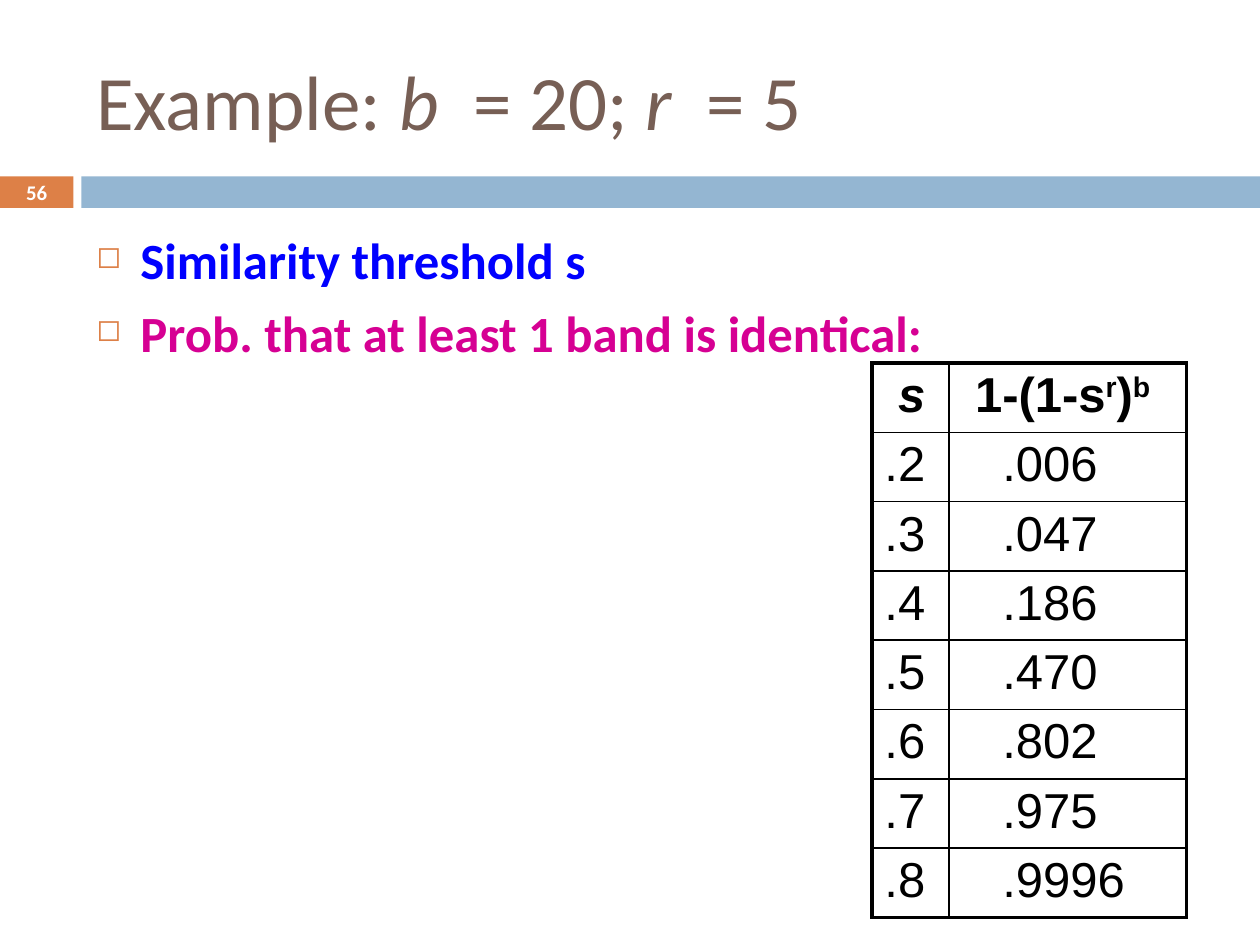
"""Build the banding example slide with its probability table."""
from lxml.etree import SubElement
from pptx import Presentation
from pptx.dml.color import RGBColor
from pptx.enum.shapes import MSO_SHAPE
from pptx.enum.text import MSO_ANCHOR, PP_ALIGN
from pptx.oxml.ns import qn
from pptx.util import Pt

PROBABILITIES = [
    (".2", ".006"), (".3", ".047"), (".4", ".186"), (".5", ".470"),
    (".6", ".802"), (".7", ".975"), (".8", ".9996"),
]


def color(value):
    return RGBColor.from_string(value)


def style(font, face, size, fill, bold=False):
    font.name, font.size, font.bold = face, Pt(size), bold
    font.color.rgb = color(fill)


def add_bar(slide, left, width, fill):
    bar = slide.shapes.add_shape(
        MSO_SHAPE.RECTANGLE, Pt(left), Pt(100.8), Pt(width), Pt(18))
    bar.shadow.inherit = False
    bar.fill.solid()
    bar.fill.fore_color.rgb = color(fill)
    bar.line.fill.background()
    return bar


def add_text_frame(slide, left, top, width, height, anchor):
    box = slide.shapes.add_textbox(Pt(left), Pt(top), Pt(width), Pt(height))
    frame = box.text_frame
    frame.word_wrap = True
    frame.vertical_anchor = anchor
    return frame


def add_title(slide):
    frame = add_text_frame(slide, 48, 18, 642, 78, MSO_ANCHOR.MIDDLE)
    for part in ("Example: ", "b", " = 20; ", "r", " = 5"):
        run = frame.paragraphs[0].add_run()
        run.text = part
        style(run.font, "Calibri", 44, "775F55")
        if part in ("b", "r"):
            run.font.italic = True
            run.font._element.set("spc", "1000")


def add_page_number(bar):
    frame = bar.text_frame
    frame.text = "56"
    frame.vertical_anchor = MSO_ANCHOR.MIDDLE
    frame.paragraphs[0].alignment = PP_ALIGN.CENTER
    style(frame.paragraphs[0].runs[0].font, "Calibri", 11.9, "FFFFFF", True)


def add_bullet(paragraph):
    properties = paragraph._p.get_or_add_pPr()
    properties.set("marL", str(Pt(25.2)))
    properties.set("indent", str(Pt(-25.2)))
    bullet_color = SubElement(properties, qn("a:buClr"))
    SubElement(bullet_color, qn("a:srgbClr"), val="DD8047")
    SubElement(properties, qn("a:buSzPct"), val="60000")
    SubElement(properties, qn("a:buChar"), char="◻")


def add_points(slide, points):
    frame = add_text_frame(slide, 48, 127, 642, 354, MSO_ANCHOR.TOP)
    frame.text = "\n".join(text for text, _ in points)
    for paragraph, (_, fill) in zip(frame.paragraphs, points):
        add_bullet(paragraph)
        style(paragraph.runs[0].font, "Calibri", 29, fill, True)
    for paragraph in frame.paragraphs[1:]:
        paragraph.space_before = Pt(7)


def set_borders(cell, widths):
    properties = cell._tc.get_or_add_tcPr()
    for position, (side, width) in enumerate(widths.items()):
        line = SubElement(properties, qn(f"a:ln{side}"), w=str(Pt(width)))
        fill = SubElement(line, qn("a:solidFill"))
        SubElement(fill, qn("a:srgbClr"), val="000000")
        properties.insert(position, line)


def fill_cell(cell, parts, indent, header):
    cell.fill.background()
    cell.margin_left = Pt(indent)
    cell.margin_top = cell.margin_bottom = Pt(3)
    for text, raised in parts:
        run = cell.text_frame.paragraphs[0].add_run()
        run.text = text
        style(run.font, "Arial", 28, "000000", header)
        run.font.italic = text == "s"
        if raised:
            run.font._element.set("baseline", "30000")


def add_probability_table(slide):
    formula = [("1-(1-s", False), ("r", True), (")", False), ("b", True)]
    rows = [([("s", False)], formula)]
    rows += [([(s, False)], [(chance, False)]) for s, chance in PROBABILITIES]
    table = slide.shapes.add_table(
        len(rows), 2, Pt(498.2), Pt(207.4), Pt(180), Pt(38.45 * len(rows))).table
    table.first_row = table.horz_banding = False
    for column, width in zip(table.columns, (44, 136)):
        column.width = Pt(width)
    last = len(rows) - 1
    for r, row in enumerate(rows):
        table.rows[r].height = Pt(38.45)
        indents = (15, 15) if r == 0 else (7.2, 30.6)
        for c, (parts, indent) in enumerate(zip(row, indents)):
            cell = table.cell(r, c)
            fill_cell(cell, parts, indent, r == 0)
            outer = {"L": c == 0, "R": c == 1, "T": r == 0, "B": r == last}
            set_borders(cell, {side: 2.25 if edge else 1
                               for side, edge in outer.items()})


def main():
    presentation = Presentation()
    presentation.slide_width, presentation.slide_height = Pt(720), Pt(540)
    slide = presentation.slides.add_slide(presentation.slide_layouts[6])
    number_bar = add_bar(slide, 0, 42, "DD8047")
    add_bar(slide, 46.5, 673.5, "94B6D2")
    add_title(slide)
    add_page_number(number_bar)
    add_points(slide, [
        ("Similarity threshold s", "0000FF"),
        ("Prob. that at least 1 band is identical:", "D60093"),
    ])
    add_probability_table(slide)
    presentation.save("out.pptx")


if __name__ == "__main__":
    main()
